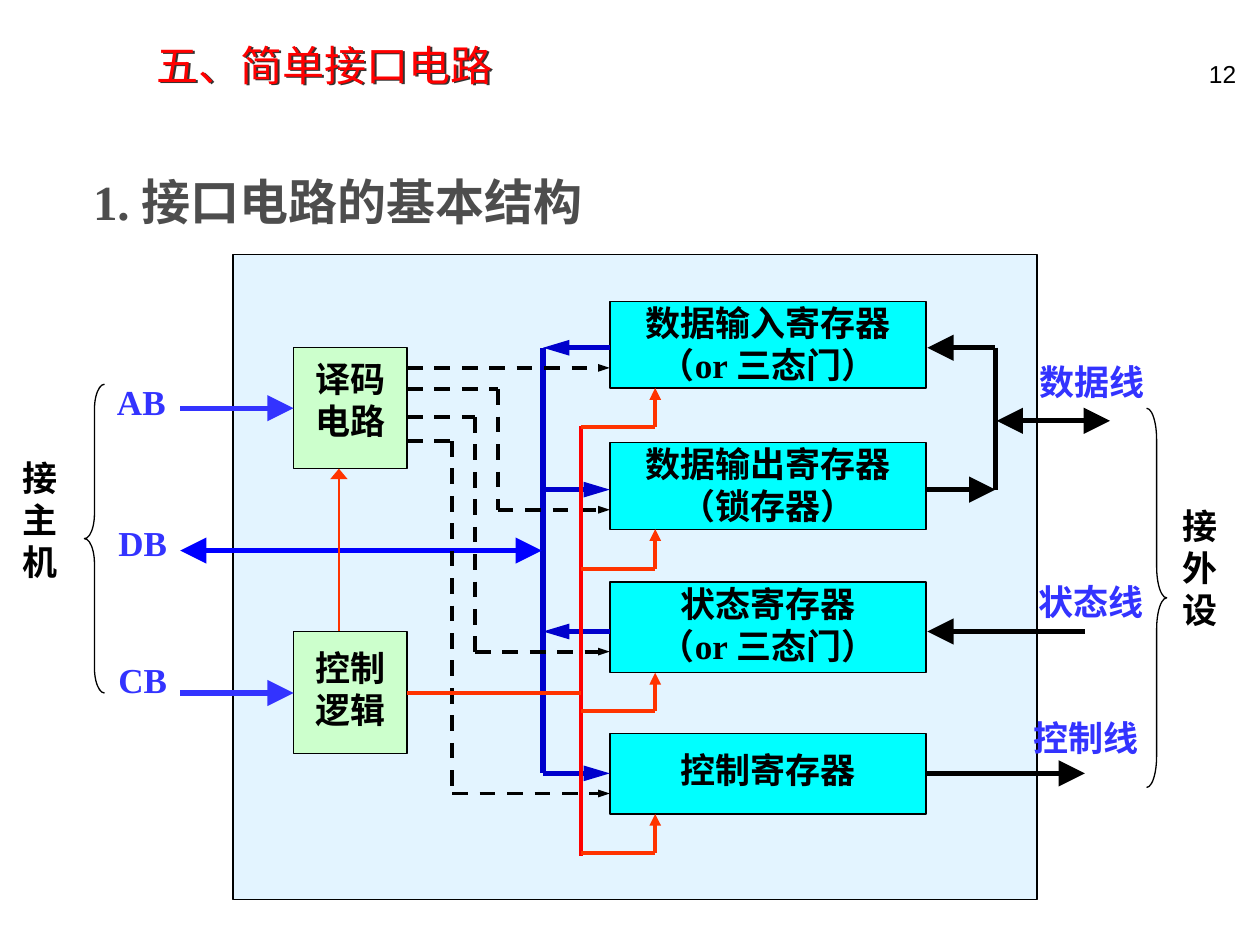
"""Build the slide on the basic structure of a simple interface circuit."""
from dataclasses import dataclass
from itertools import pairwise

from lxml import etree
from pptx import Presentation
from pptx import util as u
from pptx.dml import color
from pptx.enum import dml, shapes, text
from pptx.oxml import ns

BLACK = color.RGBColor(0x00, 0x00, 0x00)
GREY = color.RGBColor(0x4D, 0x4D, 0x4D)
RED = color.RGBColor(0xFF, 0x00, 0x00)
ORANGE = color.RGBColor(0xFF, 0x33, 0x00)
BLUE = color.RGBColor(0x00, 0x00, 0xFF)
NAVY = color.RGBColor(0x00, 0x00, 0xCC)
LABEL_BLUE = color.RGBColor(0x33, 0x33, 0xFF)
CYAN = color.RGBColor(0x00, 0xFF, 0xFF)
GREEN = color.RGBColor(0xCC, 0xFF, 0xCC)
PANEL_BLUE = color.RGBColor(0xCC, 0xEC, 0xFF)

SERIF = "Times New Roman"
SANS = "Arial"
CENTER = text.PP_ALIGN.CENTER

BUS_X, CONTROL_X, TAP_X = 4.31, 4.61, 5.2
DECODER_RIGHT = 3.23
REGISTER_LEFT, REGISTER_RIGHT, REGISTER_WIDTH = 4.84, 7.36, 2.51
FIRST_ROW, ROW_PITCH = 2.76, 1.126


@dataclass
class Box:
    lines: list[str]
    left: float
    top: float
    width: float
    height: float
    fill: color.RGBColor
    top_inset: float = 0


@dataclass
class Label:
    content: str
    left: float
    top: float
    width: float
    height: float
    size: float = 20
    colour: color.RGBColor = LABEL_BLUE
    font: str = SERIF
    bold: bool = True
    align: text.PP_ALIGN = text.PP_ALIGN.LEFT
    inset: tuple[float, float] = (0.1, 0)


@dataclass
class Wire:
    points: list[tuple[float, float]]
    colour: color.RGBColor = BLACK
    width: float = 3
    start: bool = False
    end: bool = False
    head: tuple[str, str] = ("lg", "lg")
    dashed: bool = False


def add_run(paragraph, content: str, size: float, colour: color.RGBColor,
            font: str = SERIF, bold: bool = True) -> None:
    run = paragraph.add_run()
    run.text = content
    run.font.size = u.Pt(size)
    run.font.name = font
    run.font.bold = bold
    run.font.color.rgb = colour


def set_insets(frame, side: float, top: float, bottom: float) -> None:
    frame.margin_left = frame.margin_right = u.Inches(side)
    frame.margin_top, frame.margin_bottom = u.Inches(top), u.Inches(bottom)


def add_shape(slide, kind, left: float, top: float, width: float, height: float, fill=None):
    shape = slide.shapes.add_shape(
        kind, u.Inches(left), u.Inches(top), u.Inches(width), u.Inches(height))
    shape.shadow.inherit = False
    shape.line.color.rgb = BLACK
    shape.line.width = u.Pt(0.75)
    if fill is None:
        shape.fill.background()
    else:
        shape.fill.solid()
        shape.fill.fore_color.rgb = fill
    return shape


def add_box(slide, box: Box) -> None:
    shape = add_shape(slide, shapes.MSO_SHAPE.RECTANGLE,
                      box.left, box.top, box.width, box.height, box.fill)
    frame = shape.text_frame
    frame.word_wrap = True
    frame.vertical_anchor = text.MSO_ANCHOR.TOP
    set_insets(frame, 0.1, box.top_inset, 0)
    for index, line in enumerate(box.lines):
        paragraph = frame.add_paragraph() if index else frame.paragraphs[0]
        paragraph.alignment = CENTER
        add_run(paragraph, line, 20, BLACK)


def add_label(slide, label: Label) -> None:
    frame = slide.shapes.add_textbox(
        u.Inches(label.left), u.Inches(label.top),
        u.Inches(label.width), u.Inches(label.height)).text_frame
    frame.word_wrap = True
    side, vertical = label.inset
    set_insets(frame, side, vertical, vertical)
    paragraph = frame.paragraphs[0]
    paragraph.alignment = label.align
    add_run(paragraph, label.content, label.size, label.colour, label.font, label.bold)


def add_wire(slide, wire: Wire) -> None:
    segments = list(pairwise(wire.points))
    for index, (begin, finish) in enumerate(segments):
        connector = slide.shapes.add_connector(
            shapes.MSO_CONNECTOR.STRAIGHT, *map(u.Inches, begin + finish))
        connector.line.color.rgb = wire.colour
        connector.line.width = u.Pt(wire.width)
        if wire.dashed:
            connector.line.dash_style = dml.MSO_LINE.DASH
        line = connector.line._get_or_add_ln()
        breadth, length = wire.head
        for tag, wanted in (("a:headEnd", wire.start and index == 0),
                            ("a:tailEnd", wire.end and index == len(segments) - 1)):
            if wanted:
                etree.SubElement(line, ns.qn(tag), type="triangle", w=breadth, len=length)
        etree.SubElement(connector._element.spPr, ns.qn("a:effectLst"))


def add_title(slide, content: str) -> None:
    title = slide.shapes.title
    title.left, title.top = u.Inches(1.14), u.Inches(0.23)
    title.width, title.height = u.Inches(3.51), u.Inches(0.53)
    title.fill.background()
    effects = etree.SubElement(title._element.spPr, ns.qn("a:effectLst"))
    shadow = etree.SubElement(effects, ns.qn("a:outerShdw"), dist="19050", dir="2700000",
                              algn="tl", rotWithShape="0")
    etree.SubElement(shadow, ns.qn("a:srgbClr"), val="333333")
    frame = title.text_frame
    frame.auto_size = text.MSO_AUTO_SIZE.NONE
    frame.vertical_anchor = text.MSO_ANCHOR.BOTTOM
    paragraph = frame.paragraphs[0]
    paragraph.alignment = text.PP_ALIGN.LEFT
    add_run(paragraph, content, 24, RED, bold=False)


def add_panel(slide) -> None:
    panel = add_shape(slide, shapes.MSO_SHAPE.RECTANGLE, 1.85, 2.02, 6.38, 5.12, PANEL_BLUE)
    fill = panel._element.spPr.find(ns.qn("a:solidFill"))
    etree.SubElement(fill[0], ns.qn("a:alpha"), val="55000")


def add_brace(slide, kind, left: float, top: float, height: float, radius: float) -> None:
    width = 0.16
    brace = add_shape(slide, kind, left, top, width, height)
    brace.adjustments[0] = radius / width


def build_wires(registers: list[Box]) -> list[Wire]:
    rows = [FIRST_ROW + ROW_PITCH * index for index in range(len(registers))]
    wires = [
        Wire([(REGISTER_RIGHT, rows[2]), (8.61, rows[2])], start=True),
        Wire([(REGISTER_RIGHT, rows[3]), (8.61, rows[3])], end=True),
        Wire([(REGISTER_RIGHT, rows[0]), (7.9, rows[0]), (7.9, rows[1])], start=True),
        Wire([(REGISTER_RIGHT, rows[1]), (7.9, rows[1])], end=True),
        Wire([(7.91, 3.34), (8.81, 3.34)], start=True, end=True),
        Wire([(BUS_X, rows[0]), (BUS_X, rows[3])], NAVY),
        Wire([(1.43, 4.37), (4.3, 4.37)], BLUE, start=True, end=True),
    ]
    for row, to_bus in zip(rows, (True, False, True, False)):
        wires.append(Wire([(BUS_X, row), (REGISTER_LEFT, row)], NAVY,
                          start=to_bus, end=not to_bus, head=("med", "lg")))
    wires.append(Wire([(DECODER_RIGHT, 2.92), (REGISTER_LEFT, 2.92)], width=2.25,
                      end=True, head=("sm", "med"), dashed=True))
    for row, start_y, elbow_x in zip(rows[1:], (3.09, 3.31, 3.5), (3.95, 3.77, 3.59)):
        target = row + 0.16
        wires.append(Wire([(DECODER_RIGHT, start_y), (elbow_x, start_y), (elbow_x, target),
                           (REGISTER_LEFT, target)], width=2.25, end=True,
                          head=("sm", "med"), dashed=True))
    for y in (3.24, 5.5):
        wires.append(Wire([(1.43, y), (2.33, y)], LABEL_BLUE, end=True))
    wires.append(Wire([(2.69, 5.01), (2.69, 3.72)], ORANGE, 1.5, end=True, head=("lg", "med")))
    wires.append(Wire([(CONTROL_X, 3.38), (CONTROL_X, 6.79)], RED, 2.25))
    wires.append(Wire([(DECODER_RIGHT, 5.5), (CONTROL_X, 5.5)], ORANGE, 2.25))
    for row, register in zip(rows, registers):
        tap_y = row + 0.63
        wires.append(Wire([(CONTROL_X, tap_y), (TAP_X, tap_y),
                           (TAP_X, register.top + register.height)],
                          ORANGE, 2.25, end=True, head=("med", "med")))
    return wires


def main() -> None:
    presentation = Presentation()
    presentation.slide_width, presentation.slide_height = u.Inches(10), u.Inches(7.5)
    slide = presentation.slides.add_slide(presentation.slide_layouts[5])
    add_title(slide, "五、简单接口电路")
    add_panel(slide)
    registers = [
        Box(lines, REGISTER_LEFT, top, REGISTER_WIDTH, height, CYAN, inset)
        for lines, top, height, inset in (
            (["数据输入寄存器", "（or 三态门）"], 2.39, 0.69, 0),
            (["数据输出寄存器", "（锁存器）"], 3.51, 0.69, 0),
            (["状态寄存器", "（or 三态门）"], 4.62, 0.72, 0),
            (["控制寄存器"], 5.82, 0.64, 0.12))]
    blocks = [Box(["译码", "电路"], 2.33, 2.76, 0.9, 0.96, GREEN, 0.08),
              Box(["控制", "逻辑"], 2.33, 5.01, 0.9, 0.97, GREEN, 0.12)]
    for box in registers + blocks:
        add_box(slide, box)
    for wire in build_wires(registers):
        add_wire(slide, wire)
    add_brace(slide, shapes.MSO_SHAPE.RIGHT_BRACE, 9.1, 3.24, 3.01, 0.25)
    add_brace(slide, shapes.MSO_SHAPE.LEFT_BRACE, 0.67, 3.05, 2.45, 0.2)
    side = dict(colour=BLACK, font=SANS, align=CENTER, inset=(0, 0))
    for label in (
            Label("12", 7.83, 0.42, 2.08, 0.5, 14, BLACK, SANS, False,
                  text.PP_ALIGN.RIGHT, (0.1, 0.05)),
            Label("1. 接口电路的基本结构", 0.64, 1.31, 4.6, 0.57, 28, GREY, inset=(0.1, 0.05)),
            Label("数据线", 8.15, 2.86, 1.26, 0.39),
            Label("状态线", 8.14, 4.61, 1.08, 0.48),
            Label("控制线", 8.1, 5.69, 1.08, 0.48),
            Label("AB", 0.83, 3.02, 0.72, 0.48),
            Label("DB", 0.84, 4.14, 0.72, 0.48),
            Label("CB", 0.84, 5.23, 0.72, 0.48),
            Label("接外设", 9.33, 4, 0.39, 1, **side),
            Label("接主机", 0.12, 3.62, 0.39, 1, **side)):
        add_label(slide, label)
    presentation.save("out.pptx")


if __name__ == "__main__":
    main()
